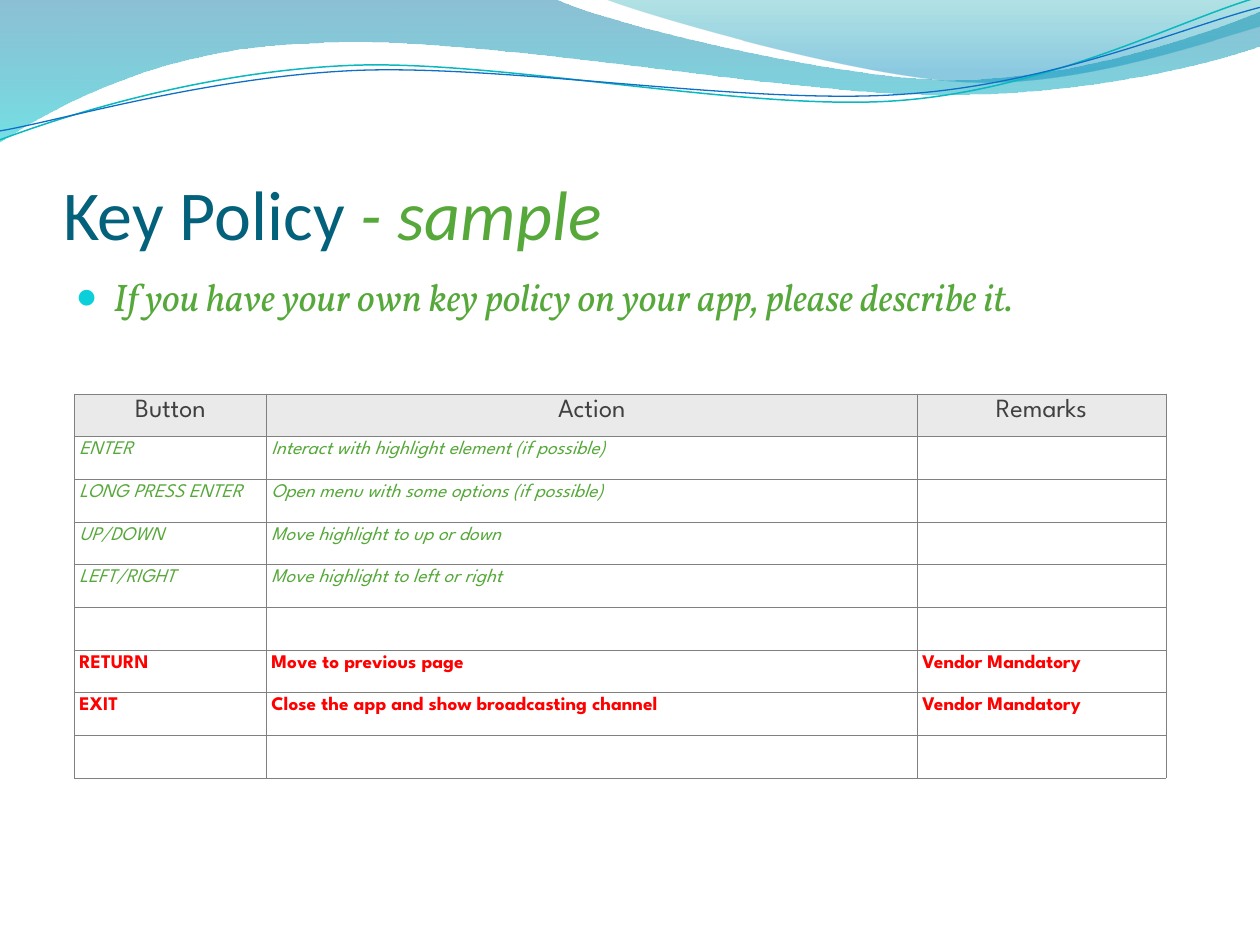
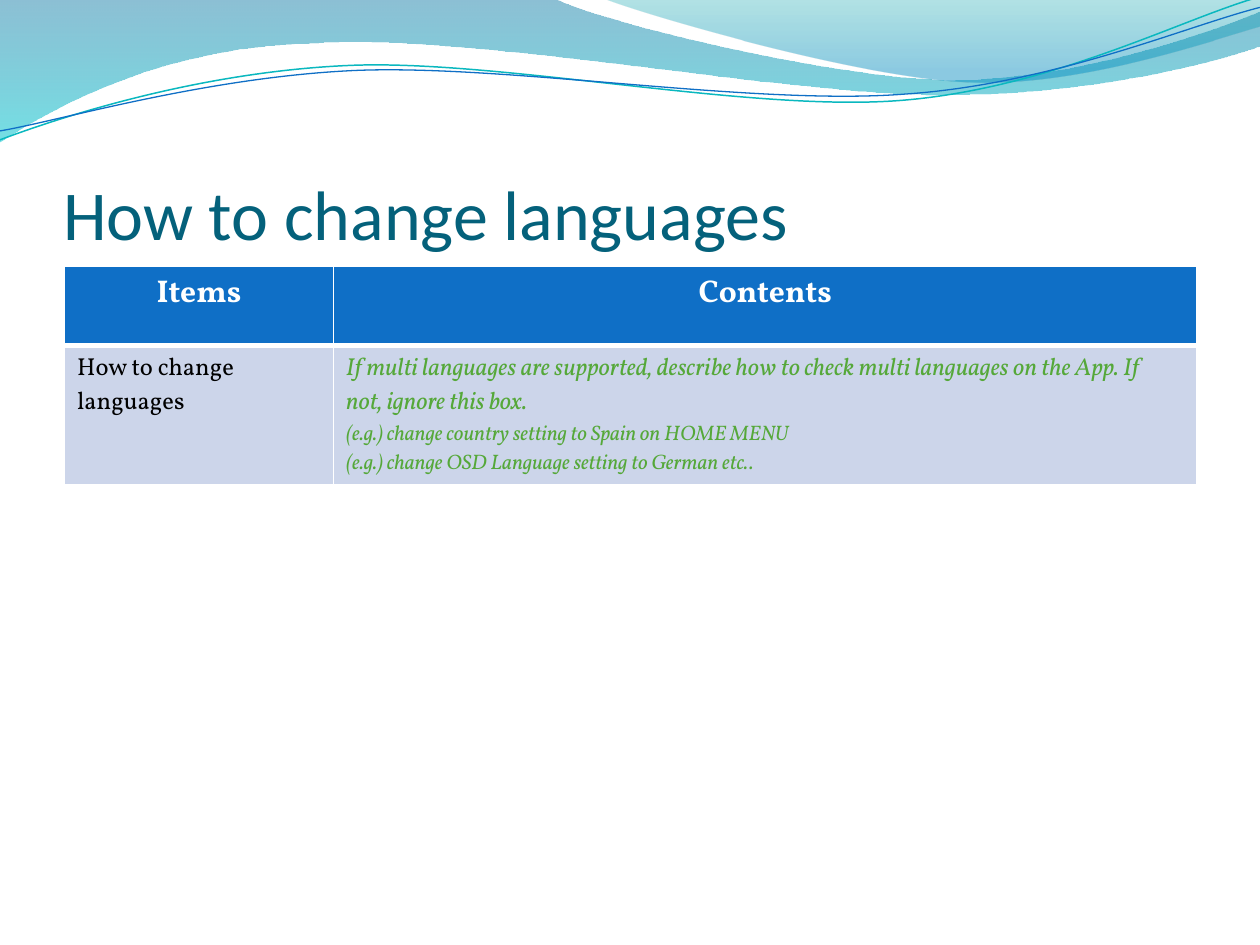
"""Build two app description slides: key policy and language settings."""
from lxml import etree
from pptx import Presentation
from pptx import util as u
from pptx.dml import color
from pptx.enum import text
from pptx.oxml import ns

Cm, Pt = u.Cm, u.Pt

COLORS = {
    "title": "04617B", "sample": "55A839", "bullet": "0BD0D9", "alert": "FF0000",
    "heading": "404040", "heading_fill": "EAEAEA", "grid": "808080", "white": "FFFFFF",
    "black": "000000", "blue": "0F6FC6", "pale": "CCD5EA", "teal_line": "0AB8BF",
    "band_top": "0074A1", "band_bottom": "00C6CF", "sheen_top": "00A1A9", "sheen_bottom": "008BBF",
}

BANDS = [
    {"start": (0, 0), "stops": [(0, "band_top", 45), (1, "band_bottom", 55)], "steps": [
        [(11.18, -0.03)],
        [(12.09, 0.43), (16.87, 1.6), (19.25, 1.6)],
        [(21.67, 1.6), (24.33, 0.66), (25.4, 0.23)],
        [(25.43, 0.91)],
        [(24.97, 1.12), (22.1, 1.93), (18.95, 1.91)],
        [(15.8, 1.91), (9.7, 0.71), (6.53, 0.86)],
        [(3.28, 0.91), (1.17, 2.11), (-0.03, 2.87)]]},
    {"start": (12.17, -0.03), "stops": [(0, "sheen_top", 30), (0.8, "sheen_bottom", 45)], "steps": [
        [(12.93, 0.28), (17.32, 1.57), (19.53, 1.65)],
        [(21.74, 1.75), (24.41, 0.81), (25.4, 0.53)],
        [(25.4, 0)]]},
]
STRANDS = [
    {"start": (0, 2.82), "line": ("teal_line", 0.85), "steps": [
        [(1.22, 2.36), (4.01, 1.45), (7.04, 1.32)],
        [(10.03, 1.19), (15.06, 2.26), (18.11, 2.03)],
        [(21.16, 1.8), (23.83, 0.38), (25.35, -0.05)]]},
    {"start": (0, 2.64), "line": ("blue", 0.75), "steps": [
        [(1.19, 2.44), (4.17, 1.55), (7.19, 1.42)],
        [(10.24, 1.3), (15.16, 2.13), (18.21, 1.9)],
        [(21.23, 1.7), (23.9, 0.53), (25.4, 0.15)]]},
]

STYLES = {
    "title": {"font": "Calibri", "size": 40, "color": "title"},
    "title_sample": {"font": "Calibri", "size": 40, "color": "sample", "italic": True},
    "lead": {"font": "Vollkorn", "size": 22, "color": "sample", "italic": True},
    "key_head": {"font": "League Spartan", "size": 15, "color": "heading"},
    "key": {"font": "League Spartan", "size": 11, "color": "sample", "italic": True},
    "key_must": {"font": "League Spartan", "size": 11, "color": "alert", "bold": True},
    "item_head": {"font": "Vollkorn", "size": 18, "color": "white", "bold": True},
    "item": {"font": "Vollkorn", "size": 14, "color": "black"},
    "guide": {"font": "Vollkorn", "size": 14, "color": "sample", "italic": True},
    "example": {"font": "Vollkorn", "size": 12, "color": "sample", "italic": True},
}

KEY_TITLE = [("Key Policy", "title"), (" - sample", "title_sample")]
KEY_LEAD = "If you have your own key policy on your app, please describe it."
KEY_COLUMNS = [3.87, 13.12, 5.01]
KEY_ROWS = [
    ("key", ["", "", ""]),
    ("key_head", ["Button", "Action", "Remarks"]),
    ("key", ["ENTER", "Interact with highlight element (if possible)", ""]),
    ("key", ["LONG PRESS ENTER", "Open menu with some options (if possible)", ""]),
    ("key", ["UP/DOWN", "Move highlight to up or down", ""]),
    ("key", ["LEFT/RIGHT", "Move highlight to left or right", ""]),
    ("key", ["", "", ""]),
    ("key_must", ["RETURN", "Move to previous page", "Vendor Mandatory"]),
    ("key_must", ["EXIT", "Close the app and show broadcasting channel", "Vendor Mandatory"]),
    ("key", ["", "", ""]),
]

LANGUAGE_TITLE = [("How to change languages", "title")]
LANGUAGE_COLUMNS = [5.42, 17.41]
LANGUAGE_ROWS = [
    [[("Items", "item_head")], [("Contents", "item_head")]],
    [[("How to change languages", "item")],
     [("If multi languages are supported, describe how to check multi languages "
       "on the App. If not, ignore this box.", "guide"),
      ("(e.g.) change country setting to Spain on HOME MENU", "example"),
      ("(e.g.) change OSD Language setting to German etc..", "example")]],
]


def rgb(name):
    return color.RGBColor.from_string(COLORS[name])


def add_span(para, words, style_name):
    style = STYLES[style_name]
    span = para.add_run()
    span.text = words
    span.font.name = style["font"]
    span.font.size = Pt(style["size"])
    span.font.color.rgb = rgb(style["color"])
    span.font.bold = style.get("bold", False)
    span.font.italic = style.get("italic", False)


def place(box, left, top, width, height):
    box.left, box.top, box.width, box.height = Cm(left), Cm(top), Cm(width), Cm(height)


def draw_wave(page, wave, close):
    x, y = wave["start"]
    builder = page.shapes.build_freeform(Cm(x), Cm(y))
    points = [(Cm(x), Cm(y)) for step in wave["steps"] for x, y in step]
    builder.add_line_segments(points, close=close)
    shape = builder.convert_to_shape()
    shape.shadow.inherit = False
    lines = iter(list(shape.element.iter(ns.qn("a:lnTo"))))
    for step in wave["steps"]:
        first, *others = [next(lines) for _ in step]
        if others:
            first.tag = ns.qn("a:cubicBezTo")
            for line in others:
                first.append(line[0])
                line.getparent().remove(line)
    return shape


def add_waves(page, master):
    shapes = []
    for band in BANDS:
        shape = draw_wave(page, band, True)
        shape.line.fill.background()
        shape.fill.gradient()
        shape.fill.gradient_angle = 270
        for stop, (position, name, _) in zip(shape.fill.gradient_stops, band["stops"]):
            stop.position = position
            stop.color.rgb = rgb(name)
        tints = shape.element.spPr.iter(ns.qn("a:srgbClr"))
        for tint, (_, _, opacity) in zip(tints, band["stops"]):
            etree.SubElement(tint, ns.qn("a:alpha"), val=str(opacity * 1000))
        shapes.append(shape)
    for strand in STRANDS:
        shape = draw_wave(page, strand, False)
        shape.fill.background()
        name, width = strand["line"]
        shape.line.color.rgb = rgb(name)
        shape.line.width = Pt(width)
        shapes.append(shape)
    for position, shape in enumerate(shapes, 2):
        master.shapes.element.insert(position, shape.element)


def add_title(page, spans):
    box = page.shapes.title
    place(box, 1.27, 1.96, 22.86, 3.18)
    frame = box.text_frame
    frame.auto_size = text.MSO_AUTO_SIZE.NONE
    frame.vertical_anchor = text.MSO_ANCHOR.BOTTOM
    frame.margin_left = frame.margin_right = frame.margin_bottom = 0
    para = frame.paragraphs[0]
    para.alignment = text.PP_ALIGN.LEFT
    for words, style in spans:
        add_span(para, words, style)


def add_lead(page, words):
    box = page.placeholders[1]
    place(box, 1.27, 5.38, 22.86, 12.19)
    box.text_frame.auto_size = text.MSO_AUTO_SIZE.NONE
    para = box.text_frame.paragraphs[0]
    para.space_before = 0
    props = para._p.get_or_add_pPr()
    props.set("marL", str(Cm(0.76)))
    props.set("indent", str(-Cm(0.76)))
    tint = etree.SubElement(props, ns.qn("a:buClr"))
    etree.SubElement(tint, ns.qn("a:srgbClr"), val=COLORS["bullet"])
    etree.SubElement(props, ns.qn("a:buSzPct"), val="95000")
    etree.SubElement(props, ns.qn("a:buChar"), char="●")
    add_span(para, words, "lead")


def add_grid(page, left, top, columns, heights):
    frame = page.shapes.add_table(len(heights), len(columns), Cm(left), Cm(top),
                                  Cm(sum(columns)), Cm(sum(heights)))
    table = frame.table
    table.first_row = table.horz_banding = False
    for column, width in zip(table.columns, columns):
        column.width = Cm(width)
    for row, height in zip(table.rows, heights):
        row.height = Cm(height)
    return table


def set_borders(cell, name, widths):
    props = cell._tc.get_or_add_tcPr()
    for side, width in widths.items():
        line = etree.SubElement(props, ns.qn(f"a:ln{side}"), w=str(Pt(width)))
        fill = etree.SubElement(line, ns.qn("a:solidFill"))
        etree.SubElement(fill, ns.qn("a:srgbClr"), val=COLORS[name])


def fill_cell(cell, name):
    cell.fill.solid()
    cell.fill.fore_color.rgb = rgb(name)


def add_key_table(page):
    heights = [1.02] + [0.86] * (len(KEY_ROWS) - 1)
    table = add_grid(page, 1.5, 6.92, KEY_COLUMNS, heights)
    for r, (style, row) in enumerate(KEY_ROWS):
        heading = style == "key_head"
        for c, words in enumerate(row):
            cell = table.cell(r, c)
            cell.margin_left = cell.margin_right = cell.margin_top = cell.margin_bottom = Cm(0.1)
            set_borders(cell, "grid", dict.fromkeys("LRTB" if r else "B", 0.25))
            if r:
                fill_cell(cell, "heading_fill" if heading else "white")
            else:
                cell.fill.background()
            para = cell.text_frame.paragraphs[0]
            if heading:
                para.alignment = text.PP_ALIGN.CENTER
            if words:
                add_span(para, words, style)
            else:
                size = str(STYLES[style]["size"] * 100)
                etree.SubElement(para._p, ns.qn("a:endParaRPr"), sz=size)


def add_language_table(page):
    table = add_grid(page, 1.3, 5.37, LANGUAGE_COLUMNS, [1.6, 2.79])
    for r, row in enumerate(LANGUAGE_ROWS):
        for c, lines in enumerate(row):
            cell = table.cell(r, c)
            inner = "T" if r else "B"
            set_borders(cell, "white", {side: 3 if side == inner else 1 for side in "LRTB"})
            fill_cell(cell, "pale" if r else "blue")
            frame = cell.text_frame
            for i, (words, style) in enumerate(lines):
                para = frame.add_paragraph() if i else frame.paragraphs[0]
                if r == 0:
                    para.alignment = text.PP_ALIGN.CENTER
                add_span(para, words, style)
    table.cell(1, 1).margin_right = Cm(0.6)


def main():
    deck = Presentation()
    deck.slide_width, deck.slide_height = Cm(25.4), Cm(19.05)

    key_page = deck.slides.add_slide(deck.slide_layouts[1])
    add_waves(key_page, deck.slide_master)
    add_title(key_page, KEY_TITLE)
    add_lead(key_page, KEY_LEAD)
    add_key_table(key_page)

    language_page = deck.slides.add_slide(deck.slide_layouts[5])
    add_title(language_page, LANGUAGE_TITLE)
    add_language_table(language_page)

    deck.save("out.pptx")


if __name__ == "__main__":
    main()
